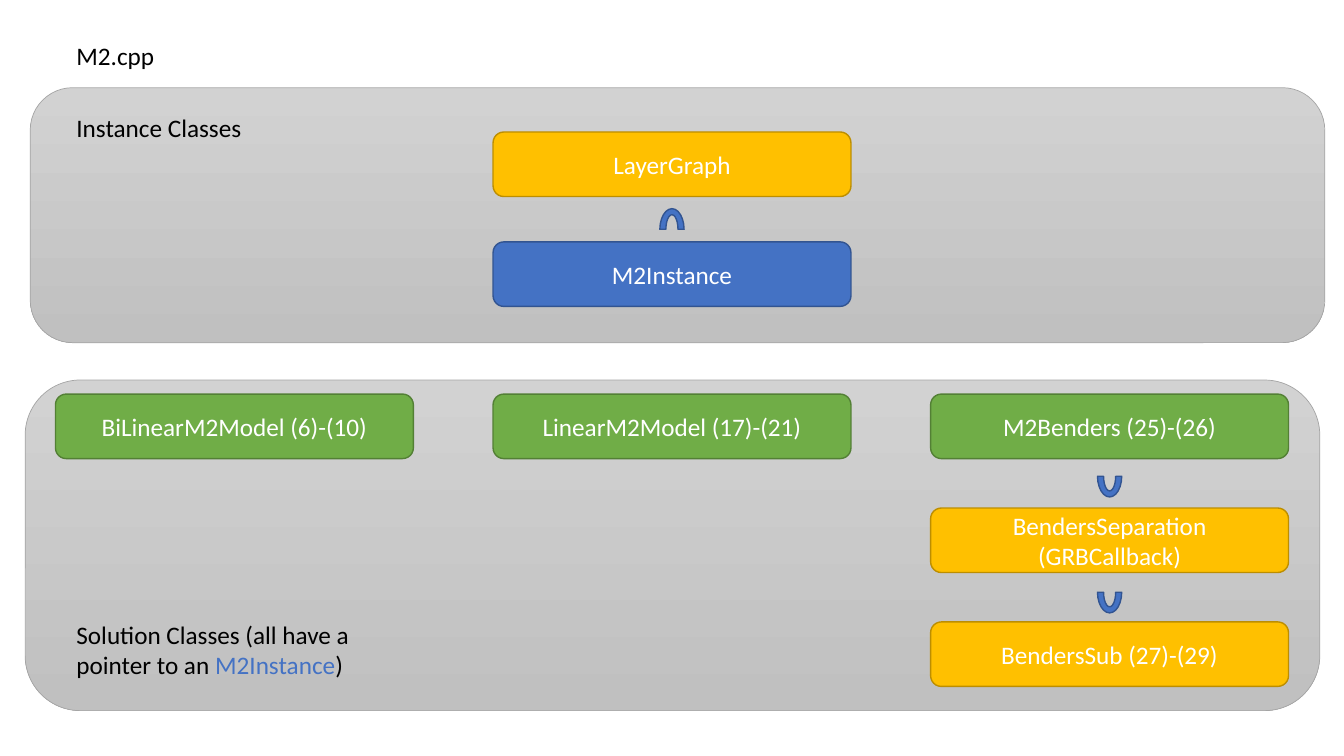
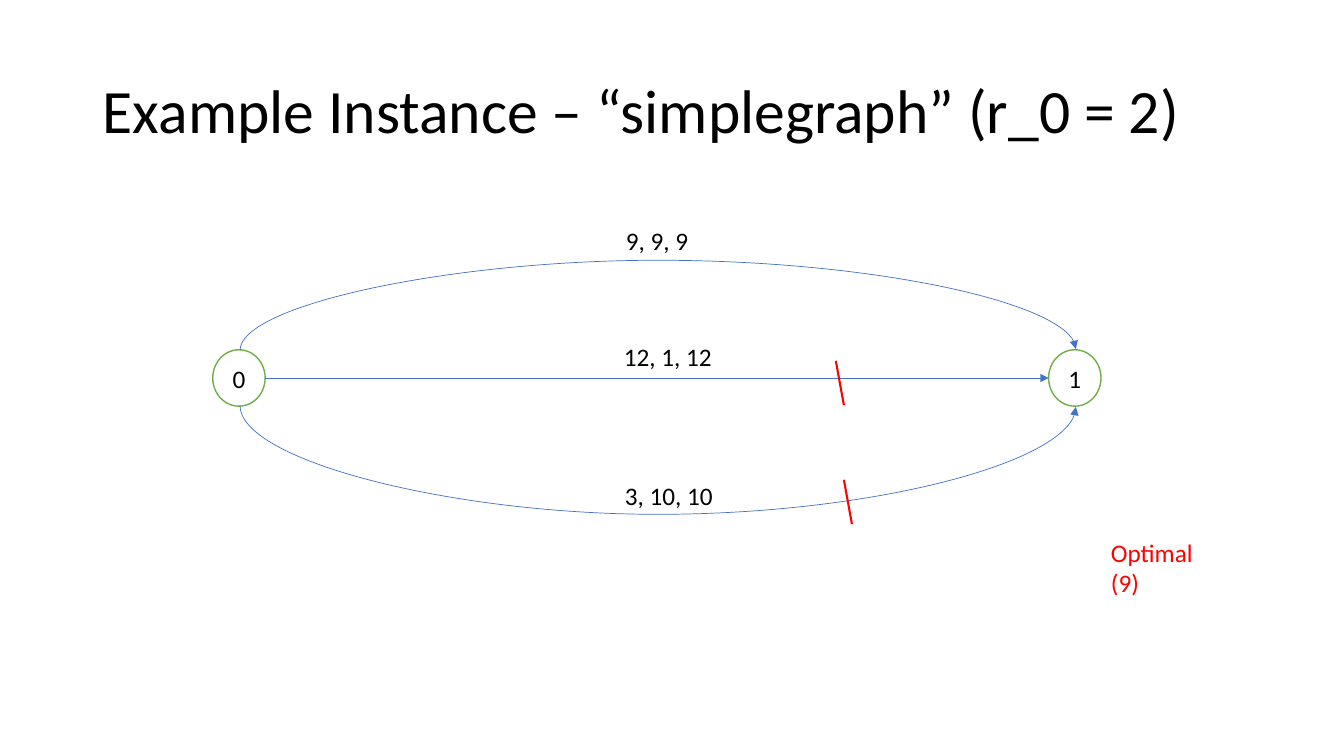
from dataclasses import dataclass
from pptx import Presentation
from pptx.dml.color import RGBColor
from pptx.enum.shapes import MSO_CONNECTOR as LINK, MSO_SHAPE as FORM
from pptx.enum.text import MSO_ANCHOR, MSO_AUTO_SIZE, PP_ALIGN
from pptx.oxml.ns import qn
from pptx.util import Inches, Pt
from lxml.etree import SubElement


@dataclass(frozen=True)
class Theme:
    font: str = "Calibri"
    body: int = 18
    head: int = 44
    black: str = "000000"
    white: str = "FFFFFF"
    red: str = "FF0000"
    blue: tuple = ("4472C4", "325491")
    green: tuple = ("70AD47", "538035")
    gold: tuple = ("FFC000", "BD8E00")
    gray: tuple = ("D2D2D2", "C0C0C0", "A5A5A5")


look = Theme()
rgb = RGBColor.from_string


def write(shape, runs, size=look.body, **form):
    """Fill a shape with (text, colour) runs; form holds paragraph settings."""
    frame = shape.text_frame
    frame.word_wrap = True
    para = frame.paragraphs[0]
    for name, value in form.items():
        setattr(para, name, value)
    for text, color in runs:
        run = para.add_run()
        run.text = text
        style = {"name": look.font, "size": Pt(size)}
        for name, value in style.items():
            setattr(run.font, name, value)
        run.font.color.rgb = rgb(color)
    return frame


def draw(slide, form, box, fill, edge, width=1, text="", color=look.white):
    """Add a preset shape; a pair of fill colours makes a gradient."""
    shape = slide.shapes.add_shape(form, *map(Inches, box))
    shape.shadow.inherit = False
    if isinstance(fill, tuple):
        shape.fill.gradient()
        shape.fill.gradient_angle = 270
        for stop, tone in zip(shape.fill.gradient_stops, fill):
            stop.color.rgb = rgb(tone)
    else:
        shape.fill.solid()
        shape.fill.fore_color.rgb = rgb(fill)
    shape.line.color.rgb = rgb(edge)
    shape.line.width = Pt(width)
    if text:
        frame = write(shape, [(text, color)], alignment=PP_ALIGN.CENTER)
        frame.vertical_anchor = MSO_ANCHOR.MIDDLE
    return shape


deck = Presentation()
deck.slide_width, deck.slide_height = Inches(13.33), Inches(7.5)
chart = deck.slides.add_slide(deck.slide_layouts[6])
graph = deck.slides.add_slide(deck.slide_layouts[5])

# Class chart: panels
for left, top, high in [(0.25, 3.77, 3.28), (0.3, 0.87, 2.53)]:
    draw(chart, FORM.ROUNDED_RECTANGLE, (left, top, 12.84, high),
         look.gray[:2], look.gray[2], 0.5)

# Class chart: boxes on three columns
cols = [0.55 + 4.34 * i for i in range(3)]
tops = [1.31 + 1.09 * i for i in range(2)] + [3.91 + 1.13 * i for i in range(3)]
wide, tall = 3.55, 0.64
for col, row, text, tone in [
    (1, 0, "LayerGraph", look.gold),
    (1, 1, "M2Instance", look.blue),
    (0, 2, "BiLinearM2Model (6)-(10)", look.green),
    (1, 2, "LinearM2Model (17)-(21)", look.green),
    (2, 2, "M2Benders (25)-(26)", look.green),
    (2, 3, "BendersSeparation (GRBCallback)", look.gold),
    (2, 4, "BendersSub (27)-(29)", look.gold),
]:
    draw(chart, FORM.ROUNDED_RECTANGLE, (cols[col], tops[row], wide, tall),
         *tone, text=text)

# Class chart: subset signs between boxes
for col, top, turn in [(1, 2.07, 0), (2, 4.52, 180), (2, 5.67, 180)]:
    arc = draw(chart, FORM.BLOCK_ARC,
               (cols[col] + wide / 2 - 0.12, top, 0.24, 0.41), *look.blue)
    arc.rotation = turn

# Graph: title
title = graph.shapes.title
place = {"left": 0.92, "top": 0.4, "width": 11.5, "height": 1.45}
for name, value in place.items():
    setattr(title, name, Inches(value))
frame = write(title, [("Example Instance – “simplegraph” (r_0 = 2)", look.black)],
              look.head, alignment=PP_ALIGN.LEFT, line_spacing=0.9)
frame.vertical_anchor = MSO_ANCHOR.MIDDLE
frame.auto_size = MSO_AUTO_SIZE.NONE

# Graph: nodes
nodes = [draw(graph, FORM.OVAL, (left, 3.47, 0.52, 0.56), look.white,
              look.green[0], text=text, color=look.black)
         for left, text in [(2.11, "0"), (10.4, "1")]]

# Graph: edges glued to node sites (an oval has eight, from the top leftwards)
lines = []
for kind, box, sites in [
    (LINK.STRAIGHT, (2.63, 3.75, 10.4, 3.75), (6, 2)),
    (LINK.CURVE, (2.38, 3.47, 10.67, 3.47), (0, 0)),
    (LINK.CURVE, (2.38, 4.03, 10.67, 4.03), (4, 4)),
]:
    edge = graph.shapes.add_connector(kind, *map(Inches, box))
    glue = edge._element.nvCxnSpPr.cNvCxnSpPr
    for tag, node, site in zip(("a:stCxn", "a:endCxn"), nodes, sites):
        SubElement(glue, qn(tag), id=str(node.shape_id), idx=str(site))
    lines.append((edge, look.blue[0], 0.5, True))

# A bow is a thin, turned connector whose bend is a multiple of its width
span, thin = 8.29, Pt(1)
for (bow, *_), mid, turn, flips, bend in [
    (lines[1], 3.47, 90, ("flipH", "flipV"), 64.92),
    (lines[2], 4.03, 270, ("flipH",), 78.32),
]:
    spot = {"left": Inches(2.38 + span / 2) - thin // 2,
            "top": Inches(mid - span / 2), "width": thin, "height": Inches(span)}
    for name, value in spot.items():
        setattr(bow, name, value)
    props = bow._element.spPr
    frame = props.find(qn("a:xfrm"))
    frame.set("rot", str(turn * 60000))
    for name in flips:
        frame.set(name, "1")
    geom = props.find(qn("a:prstGeom"))
    for old in list(geom):
        geom.remove(old)
    SubElement(SubElement(geom, qn("a:avLst")), qn("a:gd"),
               name="adj1", fmla=f"val {round(bend * 100000)}")

# Graph: red cuts, then the style of all lines
for left, top in [(8.29, 3.58), (8.37, 4.76)]:
    cut = graph.shapes.add_connector(
        LINK.STRAIGHT, *map(Inches, (left, top, left + 0.08, top + 0.44)))
    lines.append((cut, look.red, 1.5, False))

for line, color, width, arrow in lines:
    line.line.color.rgb = rgb(color)
    line.line.width = Pt(width)
    props = line._element.spPr
    if arrow:
        SubElement(props.find(qn("a:ln")), qn("a:tailEnd"), type="triangle")
    SubElement(props, qn("a:effectLst"))

# Labels on both slides
for slide, box, runs in [
    (chart, (0.66, 0.35, 3.44, 0.4), [("M2.cpp", look.black)]),
    (chart, (0.66, 1.07, 3.44, 0.4), [("Instance Classes", look.black)]),
    (chart, (0.66, 6.09, 3.44, 0.71), [
        ("Solution Classes (all have a pointer to an ", look.black),
        ("M2Instance", look.blue[0]), (")", look.black)]),
    (graph, (6.1, 4.72, 1.14, 0.4), [("3, 10, 10", look.black)]),
    (graph, (6.09, 3.34, 1.14, 0.4), [("12, 1, 12", look.black)]),
    (graph, (6.11, 2.19, 1.14, 0.4), [("9, 9, 9", look.black)]),
    (graph, (10.92, 5.28, 1.13, 0.71), [("Optimal (9)", look.red)]),
]:
    label = slide.shapes.add_textbox(*map(Inches, box))
    write(label, runs).auto_size = MSO_AUTO_SIZE.SHAPE_TO_FIT_TEXT

deck.save("out.pptx")
